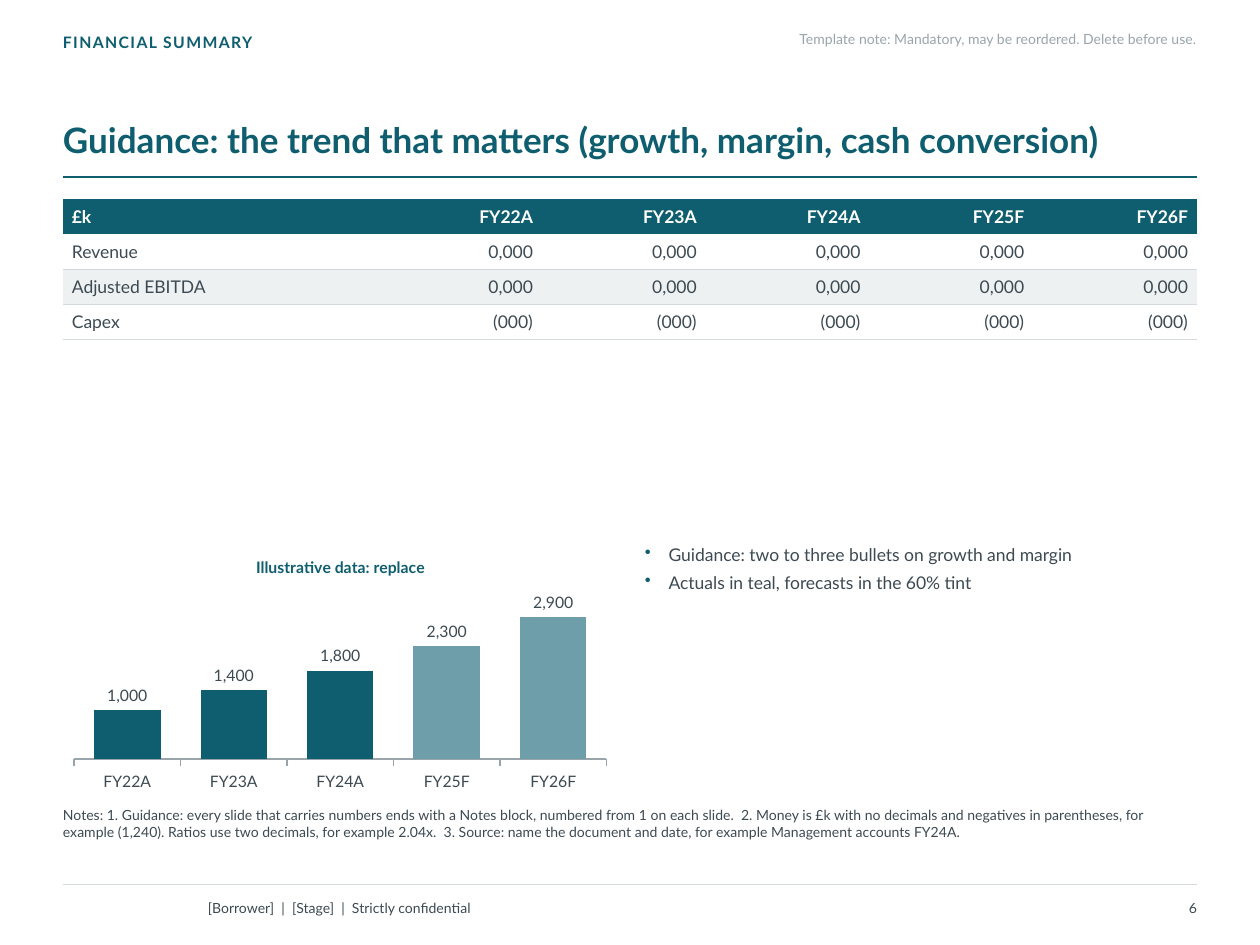
from dataclasses import dataclass

from lxml.etree import SubElement
from pptx import Presentation
from pptx.chart.data import CategoryChartData
from pptx.dml.color import RGBColor
from pptx.enum.chart import XL_CHART_TYPE, XL_LABEL_POSITION, XL_TICK_MARK
from pptx.enum.shapes import MSO_CONNECTOR
from pptx.enum.text import MSO_ANCHOR, PP_ALIGN
from pptx.oxml import parse_xml
from pptx.oxml.ns import nsdecls, qn
from pptx.util import Cm, Pt


@dataclass(frozen=True)
class Theme:
    font: str = "Lato"
    teal: str = "0E5E6F"
    tint: str = "6E9EA9"
    ink: str = "3D4A52"
    muted: str = "9AA5AB"
    rule: str = "D3D9DC"
    band: str = "EEF1F2"
    white: str = "FFFFFF"
    title: int = 20
    body: int = 10
    label: int = 9
    small: int = 8


THEME = Theme()
LEFT, WIDTH = 1.27, 22.86
RIGHT = LEFT + WIDTH
HALF_WIDTH, HALF_TOP, HALF_HEIGHT = 11.18, 10.92, 5.13
FOOTER_TOP, FOOTER_HEIGHT = 17.98, 0.66
ROW_HEIGHT, LABEL_WIDTH = 0.71, 6.35
NO_STYLE = "{2D5ABB26-0587-4C30-8999-92F81FD0307C}"

SECTION = "FINANCIAL SUMMARY"
TEMPLATE_NOTE = "Template note: Mandatory, may be reordered. Delete before use."
TITLE = "Guidance: the trend that matters (growth, margin, cash conversion)"
YEARS = ["FY22A", "FY23A", "FY24A", "FY25F", "FY26F"]
FINANCIALS = [
    ["£k", *YEARS],
    ["Revenue"] + ["0,000"] * len(YEARS),
    ["Adjusted EBITDA"] + ["0,000"] * len(YEARS),
    ["Capex"] + ["(000)"] * len(YEARS),
]
CHART_TITLE = "Illustrative data: replace"
TREND = [1000, 1400, 1800, 2300, 2900]
COMMENTARY = [
    "Guidance: two to three bullets on growth and margin",
    "Actuals in teal, forecasts in the 60% tint",
]
NOTES = (
    "Notes: 1. Guidance: every slide that carries numbers ends with a Notes block, "
    "numbered from 1 on each slide.  2. Money is £k with no decimals and negatives in "
    "parentheses, for example (1,240). Ratios use two decimals, for example 2.04x.  "
    "3. Source: name the document and date, for example Management accounts FY24A."
)
FOOTER = "[Borrower]  |  [Stage]  |  Strictly confidential"
PAGE_NUMBER = "6"


def style(font, size, color, bold=False):
    font.name, font.size, font.bold = THEME.font, Pt(size), bold
    font.color.rgb = RGBColor.from_string(color)


def paint(fill, color):
    fill.solid()
    fill.fore_color.rgb = RGBColor.from_string(color)


def add_text(slide, box, lines, size, color, bold=False, align=PP_ALIGN.LEFT,
             anchor=MSO_ANCHOR.TOP, inset=(0, 0, 0, 0)):
    frame = slide.shapes.add_textbox(*map(Cm, box)).text_frame
    frame.word_wrap = True
    frame.vertical_anchor = anchor
    (frame.margin_left, frame.margin_top,
     frame.margin_right, frame.margin_bottom) = map(Cm, inset)
    frame.text = "\n".join(lines)
    for paragraph in frame.paragraphs:
        paragraph.alignment = align
        for run in paragraph.runs:
            style(run.font, size, color, bold)
    return frame


def add_rule(slide, top, color, weight):
    rule = slide.shapes.add_connector(
        MSO_CONNECTOR.STRAIGHT, Cm(LEFT), Cm(top), Cm(RIGHT), Cm(top))
    rule.line.color.rgb = RGBColor.from_string(color)
    rule.line.width = Pt(weight)
    SubElement(rule.element.spPr, qn("a:effectLst"))


def add_financials(slide):
    table = slide.shapes.add_table(
        len(FINANCIALS), len(FINANCIALS[0]), Cm(LEFT), Cm(4.01),
        Cm(WIDTH), Cm(ROW_HEIGHT * len(FINANCIALS))).table
    table.horz_banding = False
    table._tbl.tblPr.find(qn("a:tableStyleId")).text = NO_STYLE
    year_width = (WIDTH - LABEL_WIDTH) / len(YEARS)
    for index, column in enumerate(table.columns):
        column.width = Cm(year_width if index else LABEL_WIDTH)
    for row_index, values in enumerate(FINANCIALS):
        header = row_index == 0
        table.rows[row_index].height = Cm(ROW_HEIGHT)
        for column_index, value in enumerate(values):
            cell = table.cell(row_index, column_index)
            cell.text = value
            cell.vertical_anchor = MSO_ANCHOR.MIDDLE
            cell.margin_left = cell.margin_right = Cm(0.18)
            cell.margin_top = cell.margin_bottom = Cm(0.1)
            paragraph = cell.text_frame.paragraphs[0]
            paragraph.alignment = PP_ALIGN.RIGHT if column_index else PP_ALIGN.LEFT
            style(paragraph.runs[0].font, THEME.body,
                  THEME.white if header else THEME.ink, header)
            if header:
                paint(cell.fill, THEME.teal)
                continue
            if row_index % 2 == 0:
                paint(cell.fill, THEME.band)
            else:
                cell.fill.background()
            cell._tc.get_or_add_tcPr().insert(0, parse_xml(
                f'<a:lnB {nsdecls("a")} w="{Pt(0.5)}"><a:solidFill>'
                f'<a:srgbClr val="{THEME.rule}"/></a:solidFill></a:lnB>'))


def add_trend(slide):
    trend = CategoryChartData(number_format="#,##0;(#,##0)")
    trend.categories = YEARS
    trend.add_series("Series 1", TREND)
    chart = slide.shapes.add_chart(
        XL_CHART_TYPE.COLUMN_CLUSTERED, Cm(LEFT), Cm(HALF_TOP),
        Cm(HALF_WIDTH), Cm(HALF_HEIGHT), trend).chart
    style(chart.font, THEME.label, THEME.ink)
    chart.has_legend = False
    chart.has_title = True
    heading = chart.chart_title.text_frame
    heading.text = CHART_TITLE
    style(heading.paragraphs[0].runs[0].font, THEME.label, THEME.teal, True)
    chart.value_axis.visible = False
    chart.value_axis.has_major_gridlines = False
    chart.value_axis.minimum_scale = 0
    years_axis = chart.category_axis
    years_axis.major_tick_mark = XL_TICK_MARK.OUTSIDE
    years_axis.format.line.color.rgb = RGBColor.from_string(THEME.muted)
    years_axis.format.line.width = Pt(0.75)
    style(years_axis.tick_labels.font, THEME.label, THEME.ink)
    plot = chart.plots[0]
    plot.gap_width = 60
    plot.vary_by_categories = False
    columns = plot.series[0]
    paint(columns.format.fill, THEME.teal)
    for index, year in enumerate(YEARS):
        paint(columns.points[index].format.fill,
              THEME.tint if year.endswith("F") else THEME.teal)
    labels = columns.data_labels
    labels.show_value = True
    labels.position = XL_LABEL_POSITION.OUTSIDE_END
    labels.number_format = "#,##0;(#,##0)"
    labels.number_format_is_linked = False
    style(labels.font, THEME.label, THEME.ink)


def add_commentary(slide):
    frame = add_text(slide, (RIGHT - HALF_WIDTH, HALF_TOP, HALF_WIDTH, HALF_HEIGHT),
                     COMMENTARY, THEME.body, THEME.ink, inset=(0.05, 0.05, 0, 0))
    for index, paragraph in enumerate(frame.paragraphs):
        properties = paragraph._p.get_or_add_pPr()
        properties.set("marL", str(Cm(0.48)))
        properties.set("indent", str(-Cm(0.48)))
        color = SubElement(properties, qn("a:buClr"))
        SubElement(color, qn("a:srgbClr"), val=THEME.teal)
        SubElement(properties, qn("a:buChar"), char="•")
        if index:
            paragraph.space_before = Pt(4)


def main():
    """Build the financial summary slide."""
    deck = Presentation()
    deck.slide_width, deck.slide_height = Cm(25.4), Cm(19.05)
    slide = deck.slides.add_slide(deck.slide_layouts[6])
    add_rule(slide, 17.83, THEME.rule, 0.75)
    add_rule(slide, 3.56, THEME.teal, 1.25)
    section = add_text(slide, (LEFT, 0.66, 17.78, 0.61), [SECTION],
                       THEME.label, THEME.teal, True)
    section.paragraphs[0].runs[0].font._element.set("spc", "80")
    title = add_text(slide, (LEFT, 1.27, WIDTH, 2.08), [TITLE], THEME.title, THEME.teal,
                     True, anchor=MSO_ANCHOR.BOTTOM, inset=(0, 0, 0, 0.1))
    title.paragraphs[0].line_spacing = 0.92
    add_financials(slide)
    add_trend(slide)
    add_commentary(slide)
    add_text(slide, (LEFT, 16.26, WIDTH, 1.47), [NOTES], THEME.small, THEME.ink)
    add_text(slide, (4.19, FOOTER_TOP, 14.22, FOOTER_HEIGHT), [FOOTER], THEME.small,
             THEME.ink, anchor=MSO_ANCHOR.MIDDLE, inset=(0, 0.13, 0.25, 0.13))
    add_text(slide, (RIGHT - 2.54, FOOTER_TOP, 2.54, FOOTER_HEIGHT), [PAGE_NUMBER],
             THEME.small, THEME.ink, align=PP_ALIGN.RIGHT, anchor=MSO_ANCHOR.MIDDLE,
             inset=(0.25, 0.13, 0, 0.13))
    add_text(slide, (RIGHT - 10.41, 0.61, 10.41, 0.61), [TEMPLATE_NOTE], THEME.small,
             THEME.muted, align=PP_ALIGN.RIGHT)
    deck.save("out.pptx")


if __name__ == "__main__":
    main()
